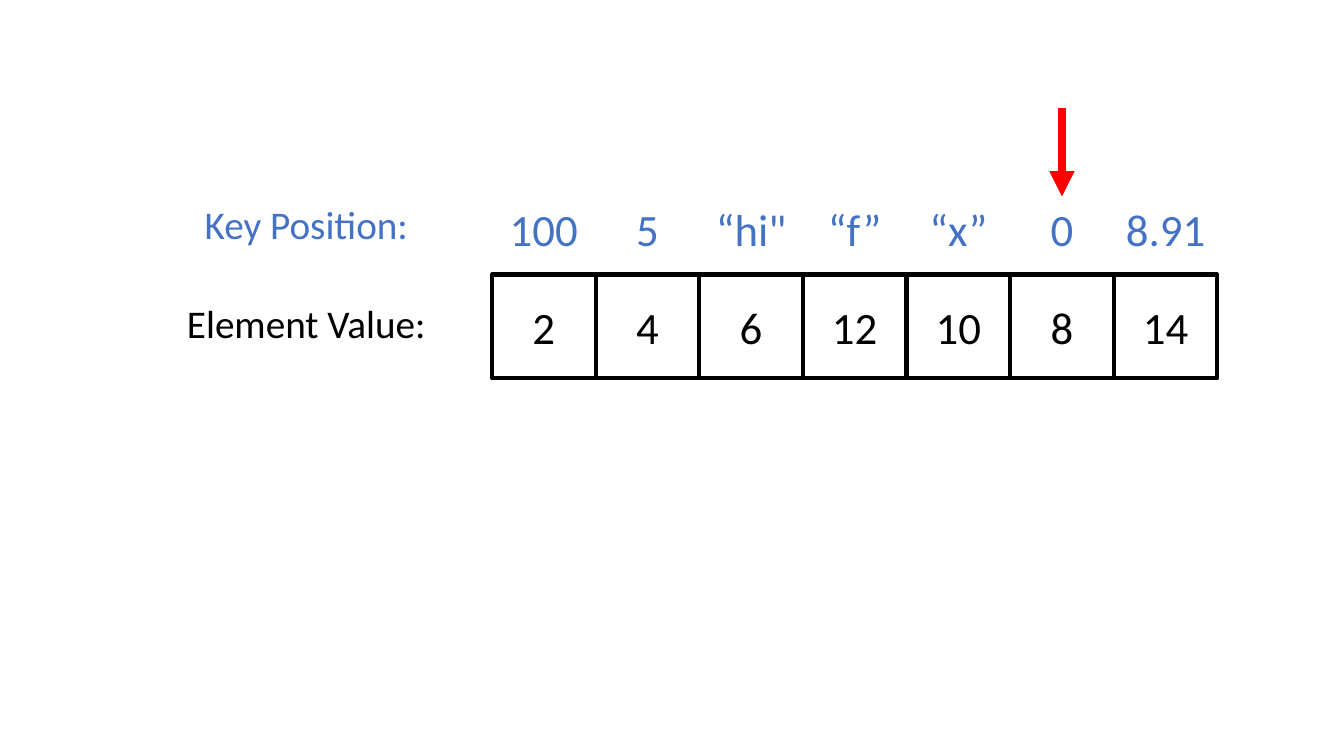
from collections import namedtuple
from dataclasses import dataclass

from lxml.etree import SubElement
from pptx import Presentation
from pptx.dml.color import RGBColor as Rgb
from pptx.enum.shapes import MSO_CONNECTOR as Connector, MSO_SHAPE as Preset
from pptx.enum.text import MSO_ANCHOR as Anchor, PP_ALIGN as Align
from pptx.oxml.ns import qn
from pptx.util import Cm, Pt

Box = namedtuple("Box", "left top width height")
Entry = namedtuple("Entry", "key value")


@dataclass(frozen=True)
class Theme:
    """Colours, type and line sizes of the slide."""
    font: str = "Calibri"
    ink: Rgb = Rgb(0x00, 0x00, 0x00)
    paper: Rgb = Rgb(0xFF, 0xFF, 0xFF)
    key: Rgb = Rgb(0x44, 0x72, 0xC4)
    pointer: Rgb = Rgb(0xFF, 0x00, 0x00)
    entry_size: Pt = Pt(32)
    label_size: Pt = Pt(28)
    cell_line: Pt = Pt(3)
    pointer_line: Pt = Pt(6)


THEME = Theme()
ENTRIES = [
    Entry("100", "2"), Entry("5", "4"), Entry("“hi\"", "6"), Entry("“f”", "12"),
    Entry("“x”", "10"), Entry("0", "8"), Entry("8.91", "14"),
]
CURRENT = 5


def apply_format(target, values):
    """Set each named attribute on the target."""
    for name, value in values.items():
        setattr(target, name, value)


def write_text(shape, text, size, color, anchor):
    """Write one centred line of text in a shape."""
    frame = shape.text_frame
    apply_format(frame, {"word_wrap": True, "vertical_anchor": anchor})
    para = frame.paragraphs[0]
    para.alignment = Align.CENTER
    span = para.add_run()
    span.text = text
    apply_format(span.font, {"name": THEME.font, "size": size})
    span.font.color.rgb = color


def draw_text(page, box, text, size, color):
    """Place a text box and return it."""
    shape = page.shapes.add_textbox(*box)
    write_text(shape, text, size, color, Anchor.TOP)
    return shape


def draw_cell(page, box, text):
    """Place one outlined square holding an element value."""
    cell = page.shapes.add_shape(Preset.RECTANGLE, *box)
    cell.shadow.inherit = False
    cell.fill.solid()
    cell.fill.fore_color.rgb = THEME.paper
    cell.line.color.rgb = THEME.ink
    cell.line.width = THEME.cell_line
    write_text(cell, text, THEME.entry_size, THEME.ink, Anchor.MIDDLE)


def draw_array(page, box, entries):
    """Place keys above a row of square cells and return the key boxes."""
    side = box.width // len(entries)
    cell_top = box.top + box.height - side
    keys = []
    for index, entry in enumerate(entries):
        left = box.left + index * side
        draw_cell(page, Box(left, cell_top, side, side), entry.value)
        key_box = Box(left, box.top, side, Cm(1.63))
        keys.append(draw_text(page, key_box, entry.key, THEME.entry_size, THEME.key))
    return keys


def draw_labels(page, box):
    """Place the two row labels, one at the top and one at the bottom."""
    height = Cm(1.45)
    lower = box.top + box.height - height
    rows = [("Key Position:", box.top, THEME.key), ("Element Value:", lower, THEME.ink)]
    for text, top, color in rows:
        label_box = Box(box.left, top, box.width, height)
        draw_text(page, label_box, text, THEME.label_size, color)


def draw_pointer(page, target, length):
    """Place a downward arrow that ends at the top of the target."""
    center = target.left + target.width // 2
    arrow = page.shapes.add_connector(
        Connector.STRAIGHT, center, target.top - length, center, target.top)
    arrow.end_connect(target, 0)
    arrow.line.color.rgb = THEME.pointer
    arrow.line.width = THEME.pointer_line
    properties = arrow._element.spPr
    SubElement(properties.find(qn("a:ln")), qn("a:tailEnd"), type="triangle")
    SubElement(properties, qn("a:effectLst"))


def main():
    """Build and save the deck."""
    deck = Presentation()
    apply_format(deck, {"slide_width": Cm(33.87), "slide_height": Cm(19.05)})
    page = deck.slides.add_slide(deck.slide_layouts[6])
    draw_labels(page, Box(Cm(3.91), Cm(4.93), Cm(7.62), Cm(3.94)))
    keys = draw_array(page, Box(Cm(12.4), Cm(4.95), Cm(18.28), Cm(4.58)), ENTRIES)
    draw_pointer(page, keys[CURRENT], Cm(2.22))
    deck.save("out.pptx")


if __name__ == "__main__":
    main()
